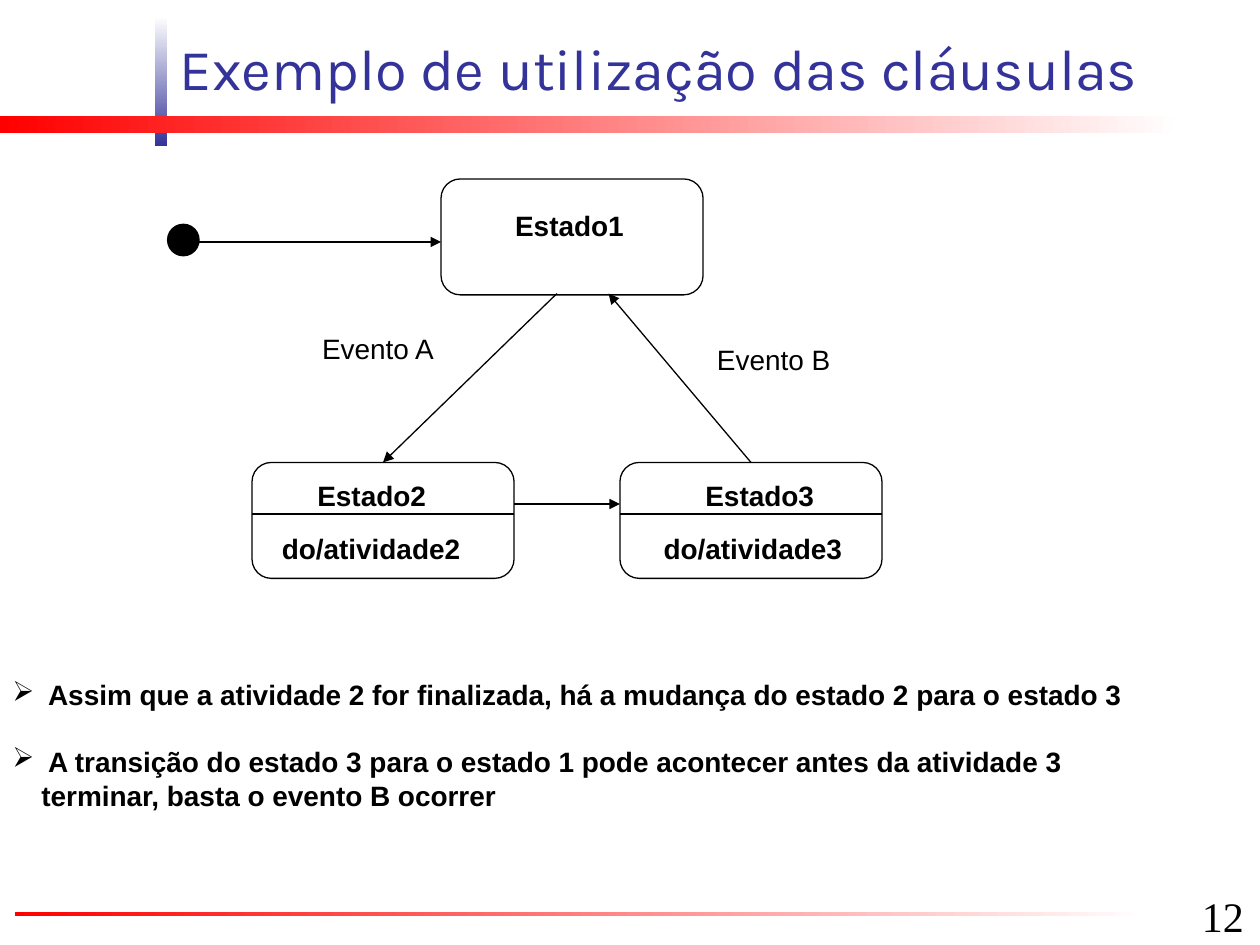
import pptx
import pptx.util
import pptx.dml.color
import pptx.enum.shapes
import pptx.enum.text
import pptx.oxml
import pptx.oxml.ns

Inches, Pt = pptx.util.Inches, pptx.util.Pt
SHAPE = pptx.enum.shapes.MSO_SHAPE
ALIGN = pptx.enum.text.PP_ALIGN
ANCHOR = pptx.enum.text.MSO_ANCHOR
AUTO_SIZE = pptx.enum.text.MSO_AUTO_SIZE

# Content
TITLE = "Exemplo de utilização das cláusulas"
PAGE = "12"
NOTES = [
    " Assim que a atividade 2 for finalizada, há a mudança do estado 2 para o estado 3",
    " A transição do estado 3 para o estado 1 pode acontecer antes da atividade 3 "
    "terminar, basta o evento B ocorrer",
]
BARS = [  # left, top, width, height, first colour, last colour, angle
    (1.23, 0.13, 0.1, 1.03, "FFFFFF", "333399", 270),
    (0, 0.92, 9.38, 0.14, "FF0000", "FFFFFF", 0),
    (0.12, 7.24, 9, 0.03, "FF0000", "FFFFFF", 0),
]
STATE_W, STATE_H, DIVIDER = 2.08, 0.92, 0.41
STATES = {  # name: left, top, has an activity
    "Estado1": (3.5, 1.42, False),
    "Estado2": (2, 3.67, True),
    "Estado3": (4.92, 3.67, True),
}
LABELS = [  # text, left, top, width, bold
    ("Estado1", 3.99, 1.61, 1.06, True),
    ("Estado2", 2.42, 3.75, 1.06, True),
    ("do/atividade2", 2.1, 4.17, 1.69, True),
    ("Estado3", 5.5, 3.75, 1.06, True),
    ("do/atividade3", 5.13, 4.17, 1.69, True),
    ("Evento A", 2.45, 2.58, 1.1, False),
    ("Evento B", 5.59, 2.67, 1.1, False),
]
TRANSITIONS = [  # start, end, state joined at its top, which end is joined
    ((1.58, 1.92), (3.5, 1.92), None, None),
    ((4.08, 4), (4.92, 4), None, None),
    ((4.42, 2.33), (3, 3.67), "Estado2", "end"),
    ((6, 3.67), (4.83, 2.33), "Estado3", "begin"),
]

prs = pptx.Presentation()
prs.slide_width, prs.slide_height = Inches(10), Inches(7.5)
s = prs.slides.add_slide(prs.slide_layouts[6])


def rgb(value):
    return pptx.dml.color.RGBColor.from_string(value)


def add_shape(kind, left, top, width, height, fill=None, line="000000"):
    sp = s.shapes.add_shape(kind, Inches(left), Inches(top), Inches(width), Inches(height))
    sp.shadow.inherit = False
    if fill:
        sp.fill.solid()
        sp.fill.fore_color.rgb = rgb(fill)
    else:
        sp.fill.background()
    if line:
        sp.line.color.rgb = rgb(line)
        sp.line.width = Pt(0.75)
    else:
        sp.line.fill.background()
    return sp


def add_line(start, end, arrow=False):
    c = s.shapes.add_connector(pptx.enum.shapes.MSO_CONNECTOR.STRAIGHT,
                               *(Inches(v) for v in start + end))
    c.line.color.rgb = rgb("000000")
    c.line.width = Pt(0.75)
    if arrow:
        tail = pptx.oxml.ns.qn("a:tailEnd")
        c.line._get_or_add_ln().append(c._element.makeelement(tail, {"type": "triangle"}))
    effects = pptx.oxml.ns.qn("a:effectLst")
    c._element.spPr.append(c._element.makeelement(effects, {}))
    return c


def add_text(text, left, top, width, height, size=16, font="Arial", color="000000",
             bold=False, align=ALIGN.LEFT, anchor=ANCHOR.TOP, wrap=True, gap=0):
    box = s.shapes.add_textbox(Inches(left), Inches(top), Inches(width), Inches(height))
    tf = box.text_frame
    tf.word_wrap, tf.vertical_anchor = wrap, anchor
    if not wrap:
        tf.auto_size = AUTO_SIZE.SHAPE_TO_FIT_TEXT
    for i, line in enumerate([text] if isinstance(text, str) else text):
        p = tf.paragraphs[0] if i == 0 else tf.add_paragraph()
        p.alignment = align
        p.space_before = Pt(gap if i else 0)
        r = p.add_run()
        r.text = line
        r.font.size, r.font.name, r.font.bold = Pt(size), font, bold
        r.font.color.rgb = rgb(color)
    return tf


def add_bullets(tf, char, indent):
    for p in tf.paragraphs:
        pPr = p._p.get_or_add_pPr()
        pPr.set("marL", str(Inches(indent)))
        pPr.set("indent", str(-Inches(indent)))
        bullet = pptx.oxml.ns.qn("a:buChar")
        pPr.append(pPr.makeelement(bullet, {"char": char}))


# Gradient bars
for left, top, width, height, first, last, angle in BARS:
    sp = add_shape(SHAPE.RECTANGLE, left, top, width, height, line=None)
    sp.fill.gradient()
    sp.fill.gradient_angle = angle
    for stop, color in zip(sp.fill.gradient_stops, (first, last)):
        stop.color.rgb = rgb(color)

# Title and page number
add_text(TITLE, 1.33, 0.18, 8.67, 0.68, size=33, font="Karla", color="333399",
         anchor=ANCHOR.BOTTOM)
add_text(PAGE, 9.44, 7.02, 0.83, 0.5, size=24, font="Times New Roman", anchor=ANCHOR.BOTTOM)

# States and initial point
add_shape(SHAPE.OVAL, 1.33, 1.78, 0.25, 0.25, fill="000000")
boxes = {}
for name, (left, top, has_activity) in STATES.items():
    boxes[name] = add_shape(SHAPE.FLOWCHART_ALTERNATE_PROCESS, left, top, STATE_W, STATE_H)
    if has_activity:
        add_line((left, top + DIVIDER), (left + STATE_W, top + DIVIDER))

# Transitions
for start, end, state, joined in TRANSITIONS:
    c = add_line(start, end, arrow=True)
    if joined == "begin":
        c.begin_connect(boxes[state], 0)
    elif joined == "end":
        c.end_connect(boxes[state], 0)

# Labels of states and events
for text, left, top, width, bold in LABELS:
    add_text(text, left, top, width, 0.37, bold=bold, align=ALIGN.CENTER, wrap=False)

# Notes
notes = add_text(NOTES, 0, 5.33, 9.02, 1.17, bold=True, gap=19)
add_bullets(notes, "➢", 0.23)

prs.save("out.pptx")
